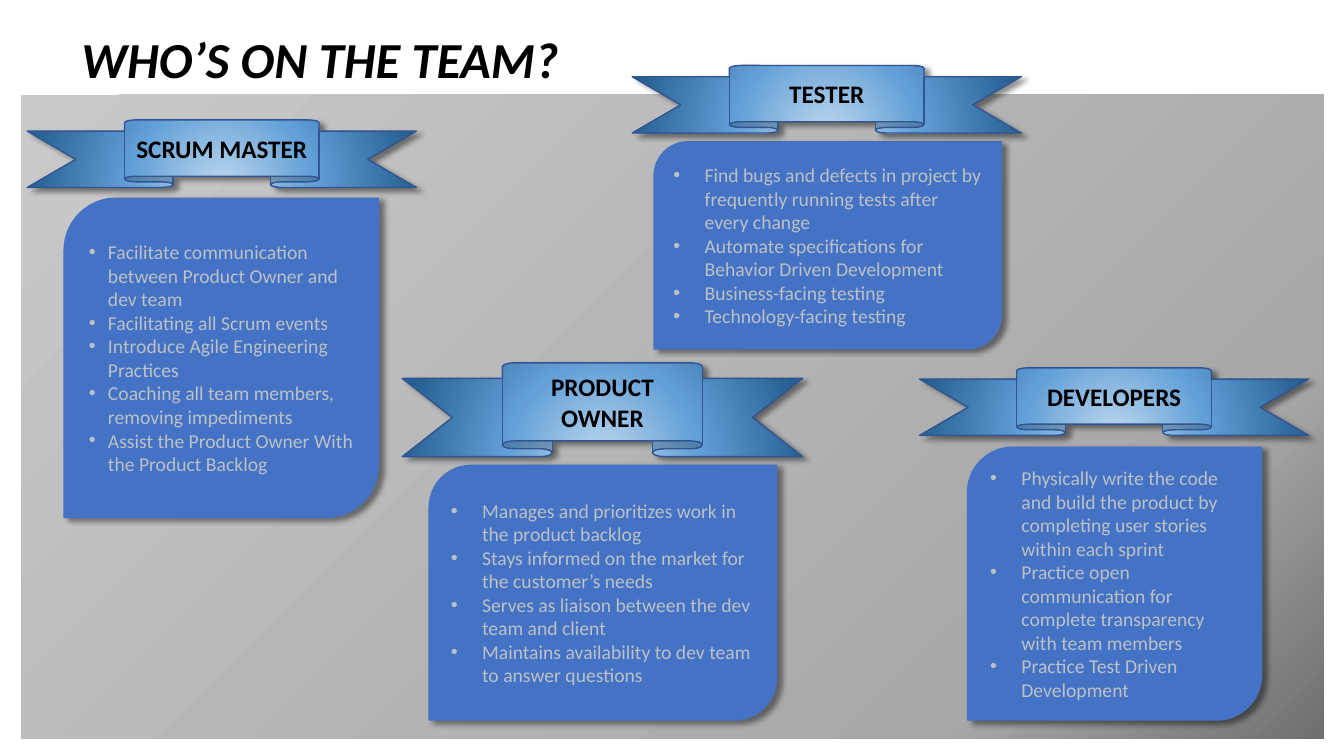
from dataclasses import dataclass
from lxml.etree import SubElement
from pptx import Presentation
from pptx.dml.color import RGBColor
from pptx.enum.shapes import MSO_SHAPE
from pptx.enum.text import MSO_ANCHOR, PP_ALIGN
from pptx.oxml.ns import qn
from pptx.util import Inches, Pt


@dataclass(frozen=True)
class Theme:
    font: str = "Calibri"
    title: int = 36
    head: int = 18
    body: int = 14
    ink: str = "000000"
    soft: str = "BDC1C6"
    card: str = "4472C4"
    edge: str = "325491"
    # Gradients: stops in percent, then the focus rectangle (l, t, r, b)
    gray: tuple = (((0, "6F6F6F"), (20, "A8A8A8"), (100, "C9C9C9")),
                   (100, 100, 0, 0))
    blue: tuple = (((0, "BDD7EE"), (46, "63A0D7"), (100, "255E91")),
                   (50, 130, 50, -30))


def node(parent, tag, **attrs):
    return SubElement(parent, qn(tag), {k: str(v) for k, v in attrs.items()})


def write(frame, *lines, font, size, color, bold=False, italic=False,
          align=PP_ALIGN.LEFT, indent=None):
    for i, line in enumerate(lines):
        para = frame.paragraphs[0] if i == 0 else frame.add_paragraph()
        para.alignment = align
        if indent:
            props = para._p.get_or_add_pPr()
            props.set("marL", str(Inches(indent)))
            props.set("indent", str(-Inches(indent)))
            node(props, "a:buFont", typeface="Arial")
            node(props, "a:buChar", char="•")
        run = para.add_run()
        run.text = line
        run.font.name, run.font.size = font, Pt(size)
        run.font.bold, run.font.italic = bold, italic
        run.font.color.rgb = RGBColor.from_string(color)


class Deck:
    def __init__(self, slide, theme):
        self.slide, self.theme = slide, theme

    def shape(self, kind, box, fill, edge=None, shade=True):
        item = self.slide.shapes.add_shape(kind, *map(Inches, box))
        if isinstance(fill, str):
            item.fill.solid()
            item.fill.fore_color.rgb = RGBColor.from_string(fill)
        else:
            self.blend(item, *fill)
        if edge:
            item.line.color.rgb = RGBColor.from_string(edge)
            item.line.width = Pt(1)
        else:
            item.line.fill.background()
        item.shadow.inherit = False
        if shade:
            self.shade(item)
        item.text_frame.word_wrap = True
        item.text_frame.vertical_anchor = MSO_ANCHOR.MIDDLE
        return item

    def blend(self, item, stops, focus):
        item.fill.background()
        props = item._element.spPr
        blank = props.find(qn("a:noFill"))
        grad = node(props, "a:gradFill", rotWithShape=1)
        props.replace(blank, grad)
        group = node(grad, "a:gsLst")
        for pos, color in stops:
            stop = node(group, "a:gs", pos=pos * 1000)
            node(stop, "a:srgbClr", val=color)
        way = node(grad, "a:path", path="circle")
        node(way, "a:fillToRect",
             **{side: v * 1000 for side, v in zip("ltrb", focus)})

    def shade(self, item):
        effects = item._element.spPr.find(qn("a:effectLst"))
        drop = node(effects, "a:outerShdw", blurRad=Pt(4), dist=Pt(4),
                    dir=30 * 60000, algn="ctr", rotWithShape=0)
        color = node(drop, "a:srgbClr", val=self.theme.ink)
        node(color, "a:alpha", val=43000)

    def title(self, text, box):
        t = self.theme
        frame = self.slide.shapes.add_textbox(*map(Inches, box)).text_frame
        frame.word_wrap = False
        write(frame, text, font=t.font, size=t.title, color=t.ink,
              bold=True, italic=True)

    def panel(self, box):
        self.shape(MSO_SHAPE.RECTANGLE, box, self.theme.gray, shade=False)

    def card(self, box, lines, indent):
        t = self.theme
        item = self.shape(MSO_SHAPE.ROUND_2_DIAG_RECTANGLE, box, t.card)
        write(item.text_frame, *lines, font=t.font, size=t.body,
              color=t.soft, indent=indent)

    def ribbon(self, box, text):
        t = self.theme
        item = self.shape(MSO_SHAPE.UP_RIBBON, box, t.blue, t.edge)
        write(item.text_frame, text, font=t.font, size=t.head, color=t.ink,
              bold=True, align=PP_ALIGN.CENTER)


# Each role: name, ribbon box, card box, bullet indent, duties
ROLES = [
    ("SCRUM MASTER", (0.27, 1.19, 3.86, 0.67), (0.63, 1.96, 3.13, 3.18), 0.19, [
        "Facilitate communication between Product Owner and dev team",
        "Facilitating all Scrum events",
        "Introduce Agile Engineering Practices",
        "Coaching all team members, removing impediments",
        "Assist the Product Owner With the Product Backlog"]),
    ("PRODUCT OWNER", (3.99, 3.6, 3.97, 0.93), (4.25, 4.61, 3.46, 2.54), 0.31, [
        "Manages and prioritizes work in the product backlog",
        "Stays informed on the market for the customer’s needs",
        "Serves as liaison between the dev team and client",
        "Maintains availability to dev team to answer questions"]),
    ("TESTER", (6.27, 0.65, 3.86, 0.67), (6.48, 1.4, 3.46, 2.07), 0.31, [
        "Find bugs and defects in project by frequently running tests "
        "after every change",
        "Automate specifications for Behavior Driven Development",
        "Business-facing testing",
        "Technology-facing testing"]),
    ("DEVELOPERS", (9.12, 3.65, 3.86, 0.67), (9.59, 4.43, 2.93, 2.72), 0.31, [
        "Physically write the code and build the product by completing "
        "user stories within each sprint",
        "Practice open communication for complete transparency with "
        "team members",
        "Practice Test Driven Development"]),
]


def main():
    show = Presentation()
    show.slide_width, show.slide_height = Inches(13.33), Inches(7.5)
    deck = Deck(show.slides.add_slide(show.slide_layouts[6]), Theme())

    # Backdrop and title
    deck.panel((0.21, 0.94, 12.92, 6.39))
    deck.title("WHO’S ON THE TEAM?", (0.71, 0.23, 4.98, 0.71))

    # Cards first, ribbons on top
    for _, _, box, indent, duties in ROLES:
        deck.card(box, duties, indent)
    for name, box, *_ in ROLES:
        deck.ribbon(box, name)

    show.save("out.pptx")


if __name__ == "__main__":
    main()
